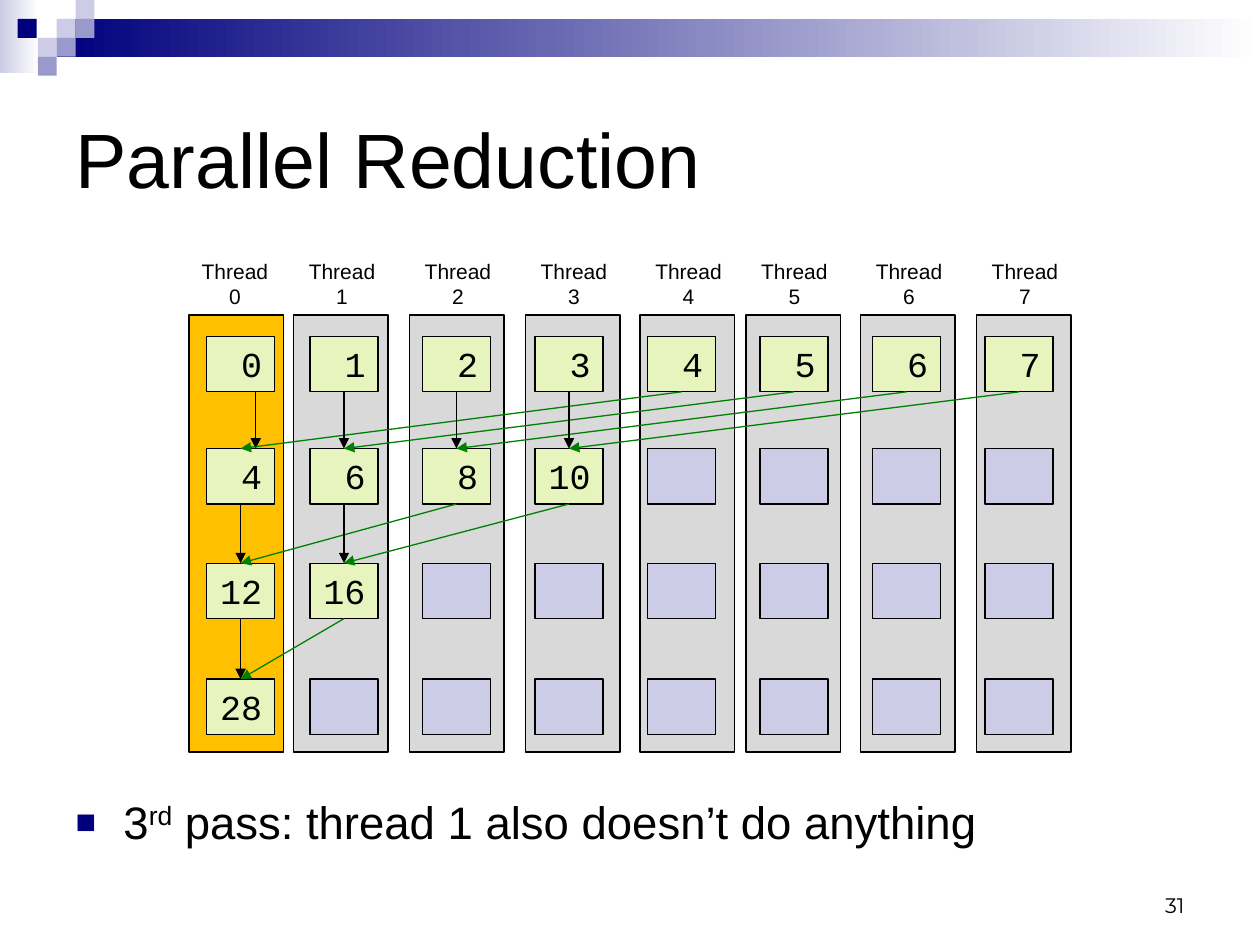
from lxml.etree import SubElement
from pptx import Presentation
from pptx.dml.color import RGBColor
from pptx.enum.shapes import MSO_CONNECTOR, MSO_SHAPE
from pptx.enum.text import MSO_ANCHOR, MSO_AUTO_SIZE, PP_ALIGN
from pptx.oxml.ns import qn
from pptx.util import Inches, Pt

BLACK, NAVY, GREEN = "000000", "00007D", "008000"
PALE, MID, WHITE = "CCCCE6", "9999CC", "FFFFFF"
ACTIVE, LANE, CURRENT_LANE = "E7F4BE", "D9D9D9", "FFC000"


def color(value):
    return RGBColor.from_string(value)


def write(para, text, size=12, font="Arial", ink=BLACK, align=PP_ALIGN.LEFT, raised=False):
    para.alignment = align
    span = para.add_run()
    span.text = text
    span.font.size = Pt(size)
    span.font.name = font
    span.font.color.rgb = color(ink)
    if raised:
        span._r.get_or_add_rPr().set("baseline", "30000")


class SlideBuilder:
    line_width = Pt(0.75)

    def __init__(self, page):
        self.page = page

    def rect(self, left, top, width, height, fill, outline=True):
        box = self.page.shapes.add_shape(
            MSO_SHAPE.RECTANGLE, Inches(left), Inches(top), Inches(width), Inches(height))
        box.shadow.inherit = False
        if isinstance(fill, tuple):
            box.fill.gradient()
            box.fill.gradient_angle = 0
            for stop, shade, position in zip(box.fill.gradient_stops, fill, (0, 1)):
                stop.color.rgb = color(shade)
                stop.position = position
        else:
            box.fill.solid()
            box.fill.fore_color.rgb = color(fill)
        if outline:
            box.line.color.rgb = color(BLACK)
            box.line.width = self.line_width
        else:
            box.line.fill.background()
        return box

    def cell(self, left, top, width, height, value):
        box = self.rect(left, top, width, height, PALE if value is None else ACTIVE)
        if value is not None:
            frame = box.text_frame
            frame.margin_left = 0
            frame.vertical_anchor = MSO_ANCHOR.TOP
            write(frame.paragraphs[0], str(value), size=20, font="Courier New",
                  align=PP_ALIGN.RIGHT)

    def text(self, left, top, width, height, lines, anchor=MSO_ANCHOR.TOP, **style):
        box = self.page.shapes.add_textbox(
            Inches(left), Inches(top), Inches(width), Inches(height))
        frame = box.text_frame
        frame.word_wrap = True
        frame.vertical_anchor = anchor
        for number, line in enumerate(lines):
            para = frame.add_paragraph() if number else frame.paragraphs[0]
            write(para, line, **style)

    def arrow(self, start, end, ink):
        line = self.page.shapes.add_connector(
            MSO_CONNECTOR.STRAIGHT, *(Inches(length) for length in (*start, *end)))
        line.line.color.rgb = color(ink)
        line.line.width = self.line_width
        SubElement(line.line._get_or_add_ln(), qn("a:tailEnd"), type="triangle")
        SubElement(line._element.spPr, qn("a:effectLst"))

    def placeholder(self, index, left, top, width, height, anchor):
        box = self.page.placeholders[index]
        box.left, box.top = Inches(left), Inches(top)
        box.width, box.height = Inches(width), Inches(height)
        box.text_frame.auto_size = MSO_AUTO_SIZE.NONE
        box.text_frame.vertical_anchor = anchor
        return box.text_frame.paragraphs[0]

    def bullet(self, para, symbol, ink, percent):
        props = para._p.get_or_add_pPr()
        props.set("marL", str(Inches(0.38)))
        props.set("indent", str(-Inches(0.38)))
        shade = SubElement(props, qn("a:buClr"))
        SubElement(shade, qn("a:srgbClr"), val=ink)
        SubElement(props, qn("a:buSzPct"), val=str(percent * 1000))
        SubElement(props, qn("a:buFont"), typeface="Arial")
        SubElement(props, qn("a:buChar"), char=symbol)
        para.space_before = Pt(0)


def draw_header(builder):
    builder.rect(0, 0, 0.31, 0.58, (PALE, WHITE), outline=False)
    builder.rect(0.45, 0.15, 9.55, 0.3, (NAVY, WHITE), outline=False)
    squares = [(0.45, 0.15, PALE), (0.6, 0, PALE), (0.6, 0.15, MID), (0.3, 0.3, PALE),
               (0.14, 0.15, NAVY), (0.45, 0.3, MID), (0.3, 0.45, MID)]
    for left, top, fill in squares:
        builder.rect(left, top, 0.15, 0.15, fill, outline=False)


def draw_reduction(builder):
    lane_lefts = [1.5, 2.33, 3.25, 4.17, 5.08, 5.92, 6.83, 7.75]
    threads = len(lane_lefts)
    cell_lefts = [1.64] + [2.46 + 0.893 * step for step in range(threads - 1)]
    cell_tops = [2.67, 3.56, 4.47, 5.39]
    cell_width, cell_height = 0.54, 0.44
    centers = [left + cell_width / 2 for left in cell_lefts]

    # Thread lanes and their labels
    for thread, left in enumerate(lane_lefts):
        builder.rect(left, 2.5, 0.75, 3.47, LANE if thread else CURRENT_LANE)
        builder.text(left + (0.02 if thread else 0), 2, 0.73, 0.51,
                     ["Thread", str(thread)], align=PP_ALIGN.CENTER)

    # Cells: each pass adds the upper half of the values to the lower half
    values = list(range(threads))
    for top in cell_tops:
        for thread, left in enumerate(cell_lefts):
            value = values[thread] if thread < len(values) else None
            builder.cell(left, top, cell_width, cell_height, value)
        half = len(values) // 2
        values = [values[i] + values[i + half] for i in range(half)]

    # Arrows: black keeps a thread's own value, green brings its partner's
    stride = threads // 2
    for top, next_top in zip(cell_tops, cell_tops[1:]):
        bottom = top + cell_height
        for thread in range(stride):
            target = centers[thread]
            own = 2.03 if thread == 0 and top == cell_tops[0] else target
            builder.arrow((own, bottom), (own, next_top), BLACK)
            builder.arrow((centers[thread + stride], bottom), (target, next_top), GREEN)
        stride //= 2


def main():
    deck = Presentation()
    deck.slide_width, deck.slide_height = Inches(10), Inches(7.5)
    builder = SlideBuilder(deck.slides.add_slide(deck.slide_layouts[1]))

    draw_header(builder)

    # Title
    title = builder.placeholder(0, 0.5, 0.5, 9, 1.5, MSO_ANCHOR.MIDDLE)
    write(title, "Parallel Reduction", size=44)

    draw_reduction(builder)

    # Remark below the diagram
    remark = builder.placeholder(1, 0.5, 6.25, 9, 0.67, MSO_ANCHOR.TOP)
    builder.bullet(remark, "■", NAVY, 75)
    write(remark, "3", size=26)
    write(remark, "rd", size=26, raised=True)
    write(remark, " pass: thread 1 also doesn’t do anything", size=26)

    # Page number
    builder.text(7.17, 6.83, 2.33, 0.5, ["31"], anchor=MSO_ANCHOR.BOTTOM,
                 font="Montserrat", align=PP_ALIGN.RIGHT)

    deck.save("out.pptx")


if __name__ == "__main__":
    main()
